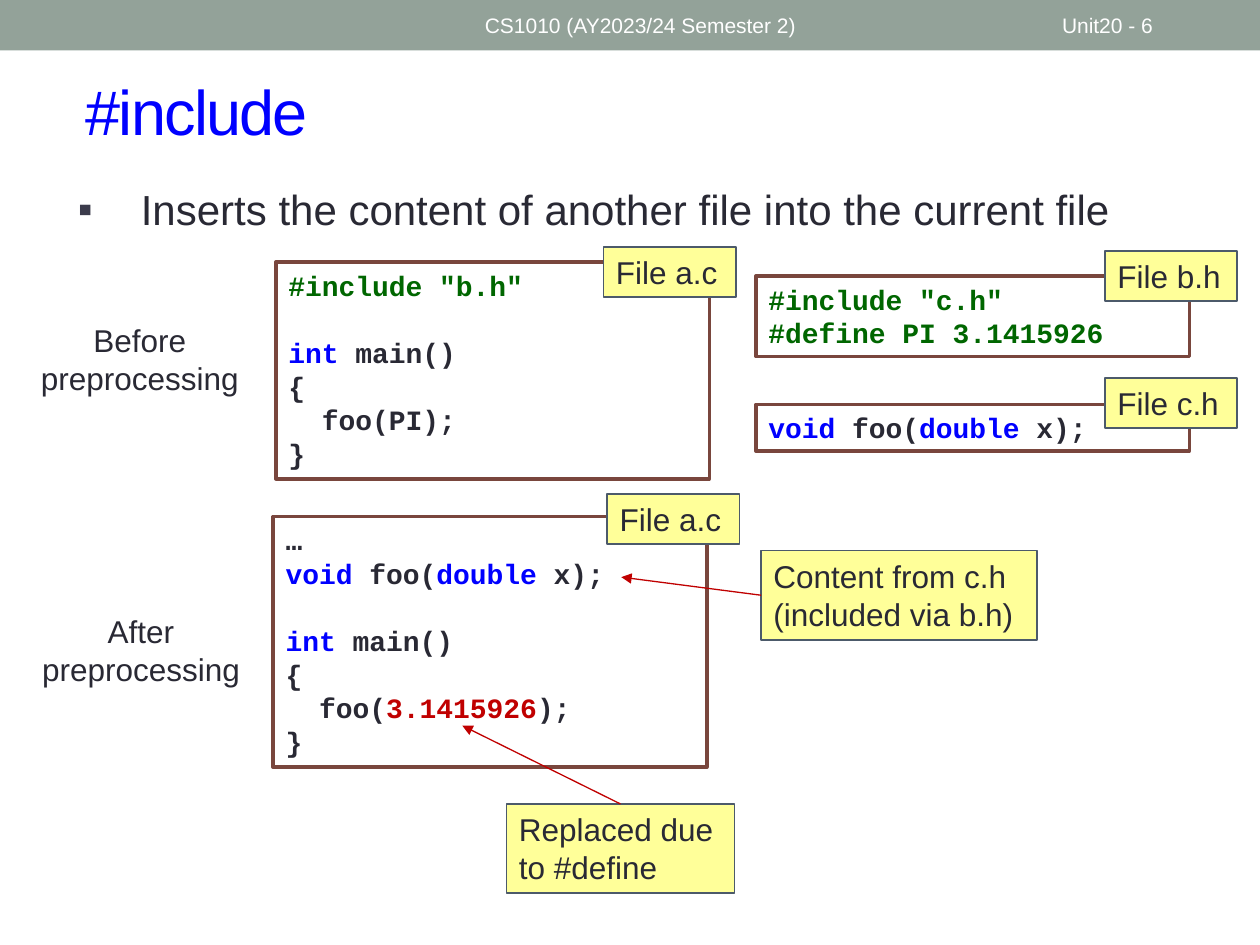
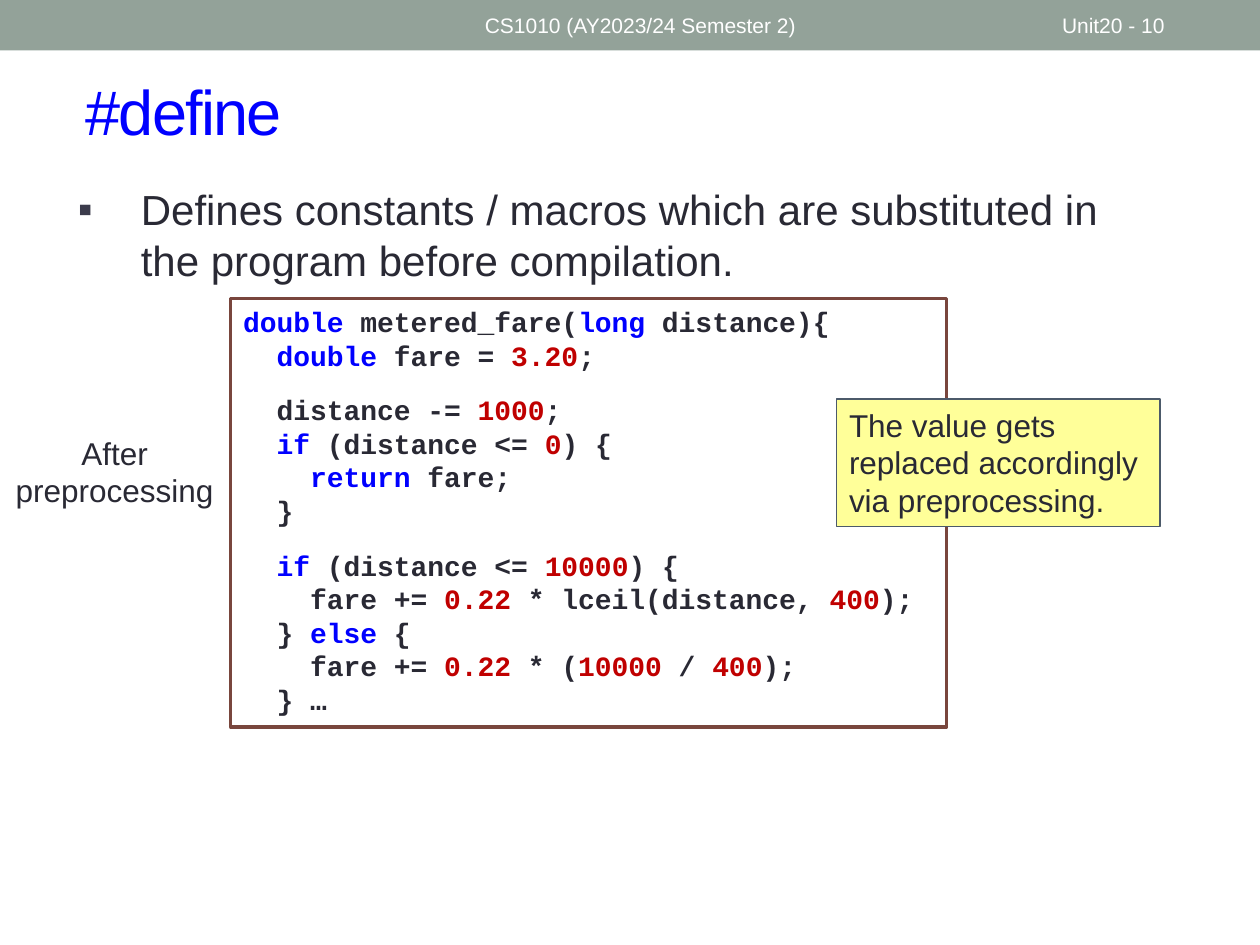
from lxml.etree import SubElement
from pptx import Presentation
from pptx.dml.color import RGBColor
from pptx.enum.shapes import MSO_CONNECTOR as Connector, MSO_SHAPE as Shape
from pptx.enum.text import MSO_ANCHOR as Anchor, MSO_AUTO_SIZE as AutoSize, PP_ALIGN as Align
from pptx.oxml.ns import qn
from pptx.util import Pt

INK, BLUE, RED, GREEN, WHITE = "292934", "0000FF", "C00000", "006600", "FFFFFF"
BAND, BULLET = "93A299", "3B3B4B"
FRAME, NOTE, NOTE_EDGE = "79463D", "FFFF99", "4C5A6A"

INCLUDING_FILE = """#include "b.h"

`int` main()
{
  foo(PI);
}"""
CONSTANT_HEADER = """#include "c.h"
#define PI 3.1415926"""
PROTOTYPE_HEADER = "`void` foo(`double` x);"
EXPANDED_FILE = """…
`void` foo(`double` x);

`int` main()
{
  foo(`3.1415926`);
}"""
FARE_FUNCTION = """`double` metered_fare(`long` distance){
  `double` fare = `3.20`;

  distance -= `1000`;
  `if` (distance <= `0`) {
    `return` fare;
  }

  `if` (distance <= `10000`) {
    fare += `0.22` * lceil(distance, `400`);
  } `else` {
    fare += `0.22` * (`10000` / `400`);
  } …"""


def color(hex_string):
    """Turn a hex string into a colour."""
    return RGBColor.from_string(hex_string)


def add_run(paragraph, text, font="Arial", size=18, ink=INK, bold=False, spacing=0):
    """Append text to a paragraph in the given format."""
    run = paragraph.add_run()
    run.text = text
    run.font.name, run.font.size, run.font.bold = font, Pt(size), bold
    run.font.color.rgb = color(ink)
    if spacing:
        run._r.get_or_add_rPr().set("spc", str(spacing * 100))


def code_runs(line):
    """Split a code line into pieces with their colours."""
    if line.startswith("#"):
        return [(line, GREEN)]
    pieces = enumerate(line.split("`"))
    return [(piece, INK if i % 2 == 0 else RED if piece[0].isdigit() else BLUE)
            for i, piece in pieces if piece]


class Deck:
    """Holds the lecture style and the current slide."""

    def __init__(self):
        """Start an empty 4:3 deck."""
        self.presentation = Presentation()
        self.presentation.slide_width, self.presentation.slide_height = Pt(720), Pt(540)
        self.slide = None

    def start(self, title, number):
        """Open a slide with its band, header and title."""
        self.slide = self.presentation.slides.add_slide(self.presentation.slide_layouts[6])
        self.box(0, 0, 720, 28.8, BAND)
        self.text(270, 1.44, 324, 25.92, "CS1010 (AY2023/24 Semester 2)", size=12, ink=WHITE)
        self.text(599.8, 1.44, 84.2, 25.92, f"Unit20 - {number}", size=12, ink=WHITE)
        self.text(41.8, 30.2, 660, 66.2, title, size=36, ink=BLUE, spacing=-1)

    def box(self, left, top, width, height, fill, edge=None, weight=1):
        """Draw a filled rectangle, outlined if an edge colour is given."""
        box = self.slide.shapes.add_shape(Shape.RECTANGLE, Pt(left), Pt(top), Pt(width), Pt(height))
        box.shadow.inherit = False
        box.fill.solid()
        box.fill.fore_color.rgb = color(fill)
        if edge:
            box.line.color.rgb = color(edge)
            box.line.width = Pt(weight)
        else:
            box.line.fill.background()
        frame = box.text_frame
        frame.word_wrap, frame.vertical_anchor = True, Anchor.TOP
        frame.paragraphs[0].alignment = Align.LEFT
        return box

    def text(self, left, top, width, height, text, align=Align.LEFT, anchor=Anchor.MIDDLE, **style):
        """Write one wrapped paragraph and return it."""
        area = self.slide.shapes.add_textbox(Pt(left), Pt(top), Pt(width), Pt(height))
        area.text_frame.word_wrap, area.text_frame.vertical_anchor = True, anchor
        paragraph = area.text_frame.paragraphs[0]
        paragraph.alignment = align
        add_run(paragraph, text, **style)
        return paragraph

    def point(self, text, height):
        """Write the bulleted statement under the title."""
        statement = self.text(37.4, 101.5, 625.7, height, text, anchor=Anchor.TOP, size=24)
        properties = statement._p.get_or_add_pPr()
        properties.set("marL", str(Pt(36)))
        properties.set("indent", str(Pt(-36)))
        bullet_color = SubElement(properties, qn("a:buClr"))
        SubElement(bullet_color, qn("a:srgbClr"), val=BULLET)
        SubElement(properties, qn("a:buFont"), typeface="Arial")
        SubElement(properties, qn("a:buChar"), char="▪")

    def stage(self, left, top, text):
        """Label a preprocessing stage beside its code."""
        self.text(left, top, 136.8, 70.6, text, align=Align.CENTER)

    def code(self, left, top, width, height, source, gap=19.2):
        """Frame a listing, opening a gap at each empty line."""
        frame = self.box(left, top, width, height, WHITE, FRAME, 2.08).text_frame
        frame.auto_size = AutoSize.SHAPE_TO_FIT_TEXT
        paragraph = frame.paragraphs[0]
        for block_index, block in enumerate(source.split("\n\n")):
            for line_index, line in enumerate(block.split("\n")):
                if block_index or line_index:
                    paragraph = frame.add_paragraph()
                    paragraph.alignment = Align.LEFT
                if block_index and not line_index:
                    paragraph.space_before = Pt(gap)
                for piece, ink in code_runs(line):
                    add_run(paragraph, piece, font="Courier New", size=16, ink=ink, bold=True)

    def note(self, left, top, width, height, text):
        """Place a yellow note and return it."""
        note = self.box(left, top, width, height, NOTE, NOTE_EDGE)
        note.text_frame.auto_size = AutoSize.SHAPE_TO_FIT_TEXT
        add_run(note.text_frame.paragraphs[0], text)
        return note

    def file_tag(self, left, top, file_name):
        """Tag a listing with its file name."""
        self.note(left, top, 75.6, 28.8, f"File {file_name}")

    def arrow(self, note, side, x, y):
        """Point from the side of a note to a place in the code."""
        arrow = self.slide.shapes.add_connector(Connector.STRAIGHT, 0, 0, Pt(x), Pt(y))
        arrow.begin_connect(note, side)
        arrow.line.color.rgb = color(RED)
        arrow.line.width = Pt(0.75)
        properties = arrow._element.spPr
        SubElement(properties.find(qn("a:ln")), qn("a:tailEnd"), type="triangle")
        SubElement(properties, qn("a:effectLst"))


def build_include(deck):
    """Show how included files are expanded."""
    deck.start("#include", 6)
    deck.point("Inserts the content of another file into the current file", 39.6)
    deck.code(157.7, 149.8, 247.7, 123.8, INCLUDING_FILE)
    deck.code(432, 157.7, 247.7, 46.1, CONSTANT_HEADER)
    deck.code(432, 231.1, 247.7, 26.6, PROTOTYPE_HEADER)
    deck.code(156.2, 295.2, 247.7, 143.3, EXPANDED_FILE)
    deck.file_tag(344.9, 141.1, "a.c")
    deck.file_tag(631.4, 143.3, "b.h")
    deck.file_tag(631.4, 216, "c.h")
    deck.file_tag(347, 282.2, "a.c")
    deck.stage(11.5, 169.9, "Before preprocessing")
    deck.stage(12.2, 336.2, "After preprocessing")
    replaced = deck.note(289.4, 459.4, 130.3, 51.1, "Replaced due to #define")
    deck.arrow(replaced, 0, 264.2, 414.7)
    included = deck.note(434.9, 314.6, 157.7, 51.1, "Content from c.h (included via b.h)")
    deck.arrow(included, 1, 355, 329.8)


def build_define(deck):
    """Show the code after constants are substituted."""
    deck.start("#define", 10)
    deck.point("Defines constants / macros which are substituted in the program "
               "before compilation.", 239.8)
    deck.stage(-2.9, 234, "After preprocessing")
    deck.code(131.8, 170.6, 409, 244.8, FARE_FUNCTION, gap=12)
    deck.note(478.1, 228.2, 185, 72.7, "The value gets replaced accordingly via preprocessing.")


def main():
    """Build and save the deck."""
    deck = Deck()
    build_include(deck)
    build_define(deck)
    deck.presentation.save("out.pptx")


if __name__ == "__main__":
    main()
